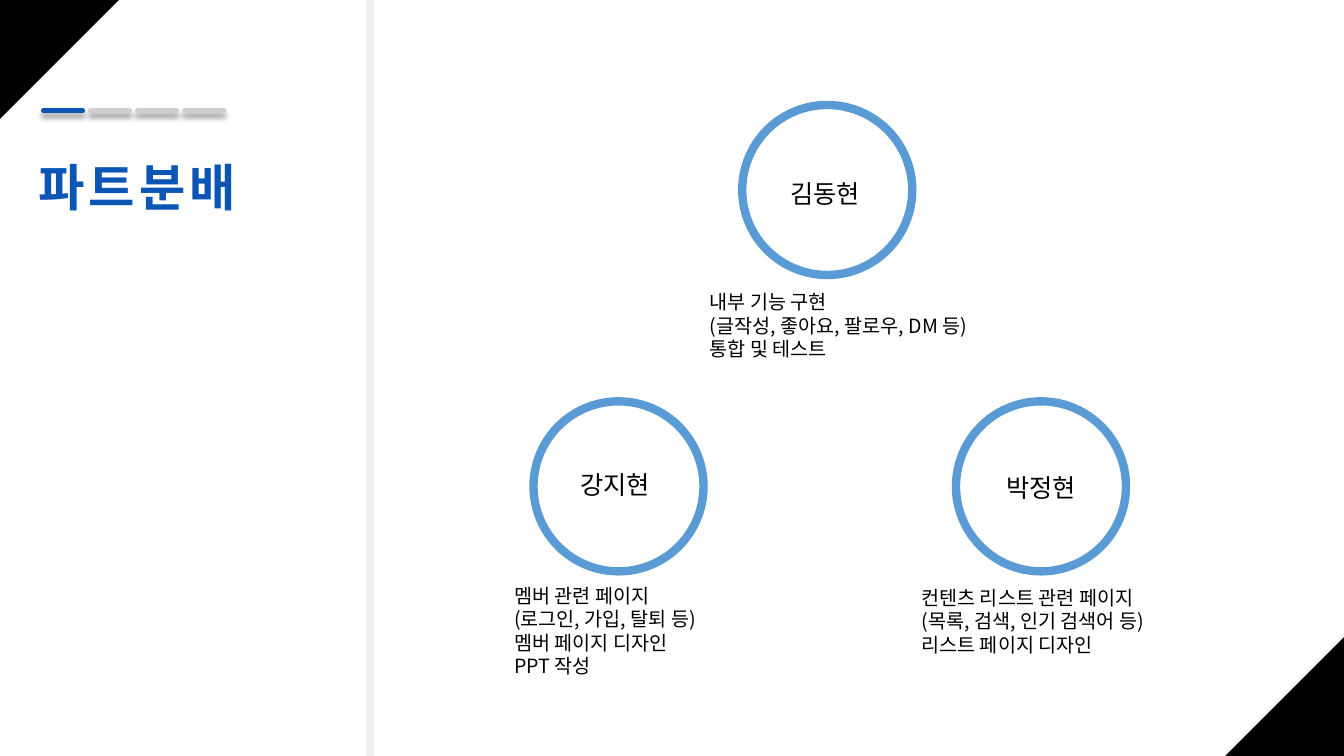
import pptx
import pptx.dml.color
import pptx.enum.shapes
import pptx.oxml.ns
import pptx.util
from lxml import etree

Inches = pptx.util.Inches
Pt = pptx.util.Pt
KIND = pptx.enum.shapes.MSO_SHAPE
FONT = "Noto Sans CJK KR"
COLORS = {"black": "000000", "gray": "D0CECE", "navy": "0B55B5", "blue": "5B9BD5"}
RING = 1.77

# Each member: ring corner, name offset, task box offset and width, tasks
TEAM = [
    ("강지현", (5.25, 3.94), (0.41, 0.67), (-0.25, 1.8, 2.48),
     ["멤버 관련 페이지", "(로그인, 가입, 탈퇴 등)", "멤버 페이지 디자인", "PPT 작성"]),
    ("김동현", (7.32, 1), (0.42, 0.72), (-0.38, 1.83, 2.96),
     ["내부 기능 구현", "(글작성, 좋아요, 팔로우, DM 등)", "통합 및 테스트"]),
    ("박정현", (9.44, 3.94), (0.44, 0.7), (-0.4, 1.82, 2.65),
     ["컨텐츠 리스트 관련 페이지", "(목록, 검색, 인기 검색어 등)", "리스트 페이지 디자인"]),
]


def rgb(name):
    return pptx.dml.color.RGBColor.from_string(COLORS[name])


def tag(parent, name, **attrs):
    """Append a drawing element to parent."""
    return etree.SubElement(parent, pptx.oxml.ns.qn("a:" + name), attrs)


def add_text(slide, lines, box, size=14, color="black", bold=False, space=0, wrap=True):
    frame = slide.shapes.add_textbox(*map(Inches, box)).text_frame
    frame.word_wrap = wrap
    for i, line in enumerate(lines):
        para = frame.paragraphs[0] if i == 0 else frame.add_paragraph()
        run = para.add_run()
        run.text = line
        font = run.font
        font.name, font.size, font.bold = FONT, Pt(size), bold
        font.color.rgb = rgb(color)
        props = run._r.get_or_add_rPr()
        tag(props, "ea", typeface=FONT)
        if space:
            props.set("spc", str(space * 100))


def add_shape(slide, kind, box, color, adjust, turn=0):
    shape = slide.shapes.add_shape(kind, *map(Inches, box))
    shape.shadow.inherit = False
    shape.adjustments[0] = adjust
    shape.rotation = turn
    shape.fill.solid()
    shape.fill.fore_color.rgb = rgb(color)
    shape.line.fill.background()


def add_line(slide, ends, color, width, alpha=100, shadow=False, cap="flat"):
    link = slide.shapes.add_connector(
        pptx.enum.shapes.MSO_CONNECTOR.STRAIGHT, *map(Inches, ends))
    link.line.color.rgb = rgb(color)
    link.line.width = Pt(width)
    props = link._element.spPr
    props.find(pptx.oxml.ns.qn("a:ln")).set("cap", cap)
    if alpha < 100:
        fill = next(props.iter(pptx.oxml.ns.qn("a:srgbClr")))
        tag(fill, "alpha", val=str(alpha * 1000))
    effects = tag(props, "effectLst")
    if shadow:
        outer = tag(effects, "outerShdw", blurRad=str(Pt(4)), dist=str(Pt(3)),
                    dir="5400000", algn="t", rotWithShape="0")
        tag(tag(outer, "srgbClr", val=COLORS["black"]), "alpha", val="40000")


def add_frame(slide, wide, high):
    """Corner triangles and the vertical divider."""
    side = 1.18
    for x, y, turn in ((0, 0, 90), (wide - side, high - side, 270)):
        add_shape(slide, KIND.ISOSCELES_TRIANGLE, (x, y, side, side), "black", 0, turn)
    add_line(slide, (3.67, 0, 3.67, high), "gray", 5.5, alpha=30)


def add_head(slide, left, top):
    """Title with its four progress dashes."""
    add_text(slide, ["파트분배"], (left, top + 0.4, 2.35, 0.71),
             size=36, color="navy", bold=True, space=3, wrap=False)
    for i in range(4):
        x = left + 0.15 + i * 0.467
        add_line(slide, (x, top, x + 0.39, top), "gray" if i else "navy", 3.5,
                 shadow=True, cap="rnd")


def add_member(slide, name, corner, label, task, lines):
    x, y = corner
    add_shape(slide, KIND.DONUT, (x, y, RING, RING), "blue", 0.047)
    add_text(slide, [name], (x + label[0], y + label[1], 1.2, 0.4), size=18)
    dx, dy, width = task
    add_text(slide, lines, (x + dx, y + dy, width, 0.81))


def main():
    deck = pptx.Presentation()
    wide, high = 13.33, 7.5
    deck.slide_width, deck.slide_height = Inches(wide), Inches(high)
    slide = deck.slides.add_slide(deck.slide_layouts[6])
    add_frame(slide, wide, high)
    add_head(slide, 0.28, 1.1)
    for member in TEAM:
        add_member(slide, *member)
    deck.save("out.pptx")


if __name__ == "__main__":
    main()
